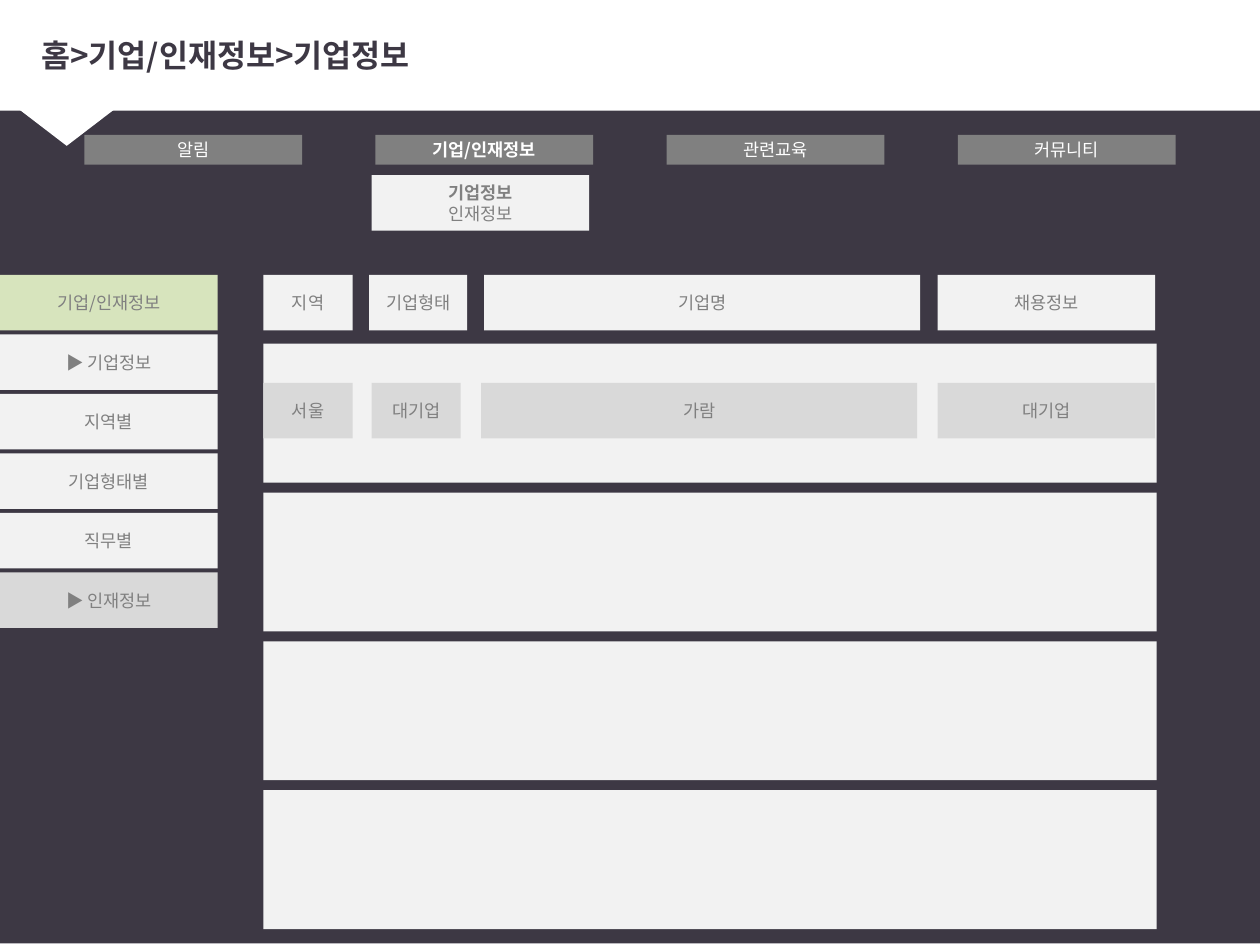
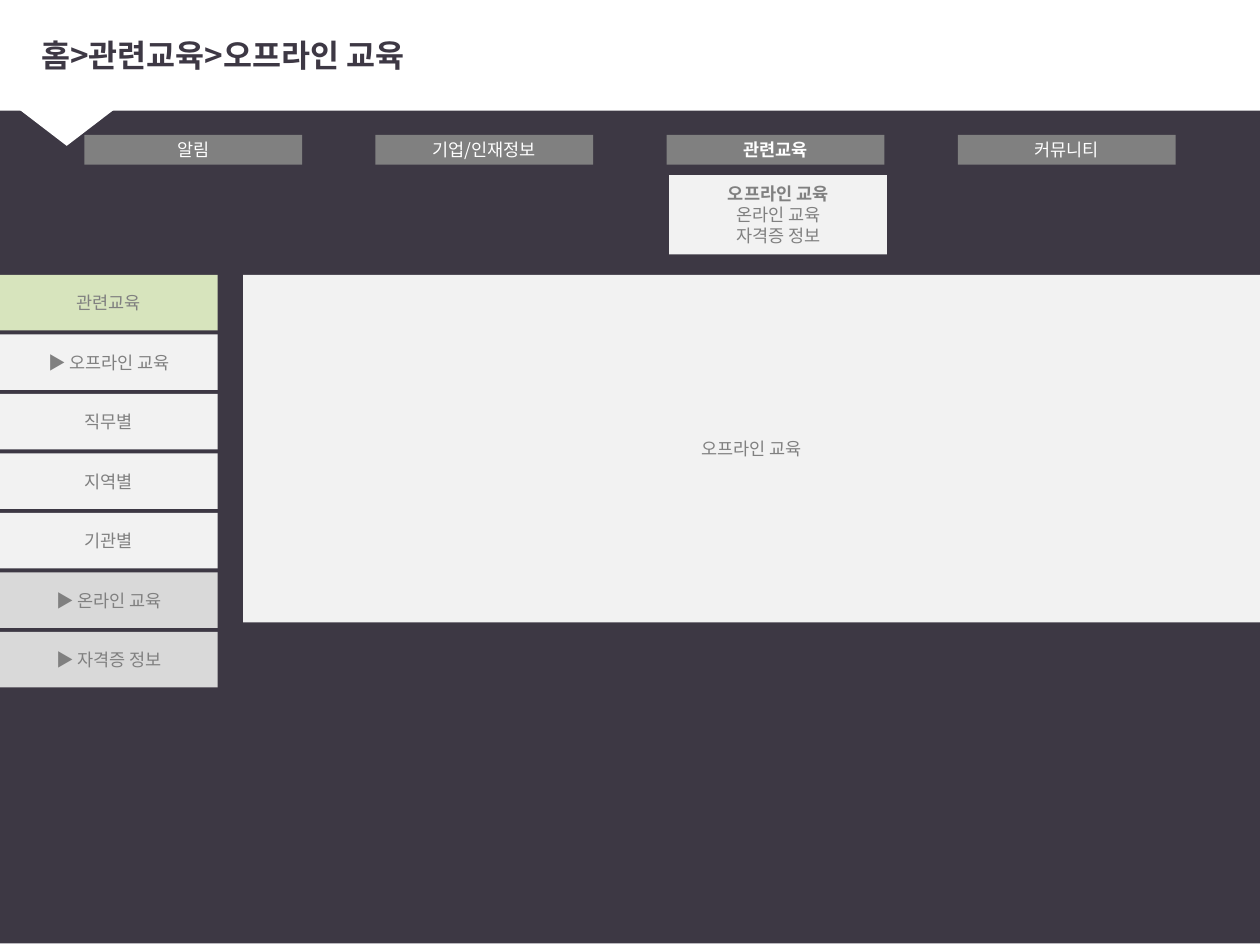
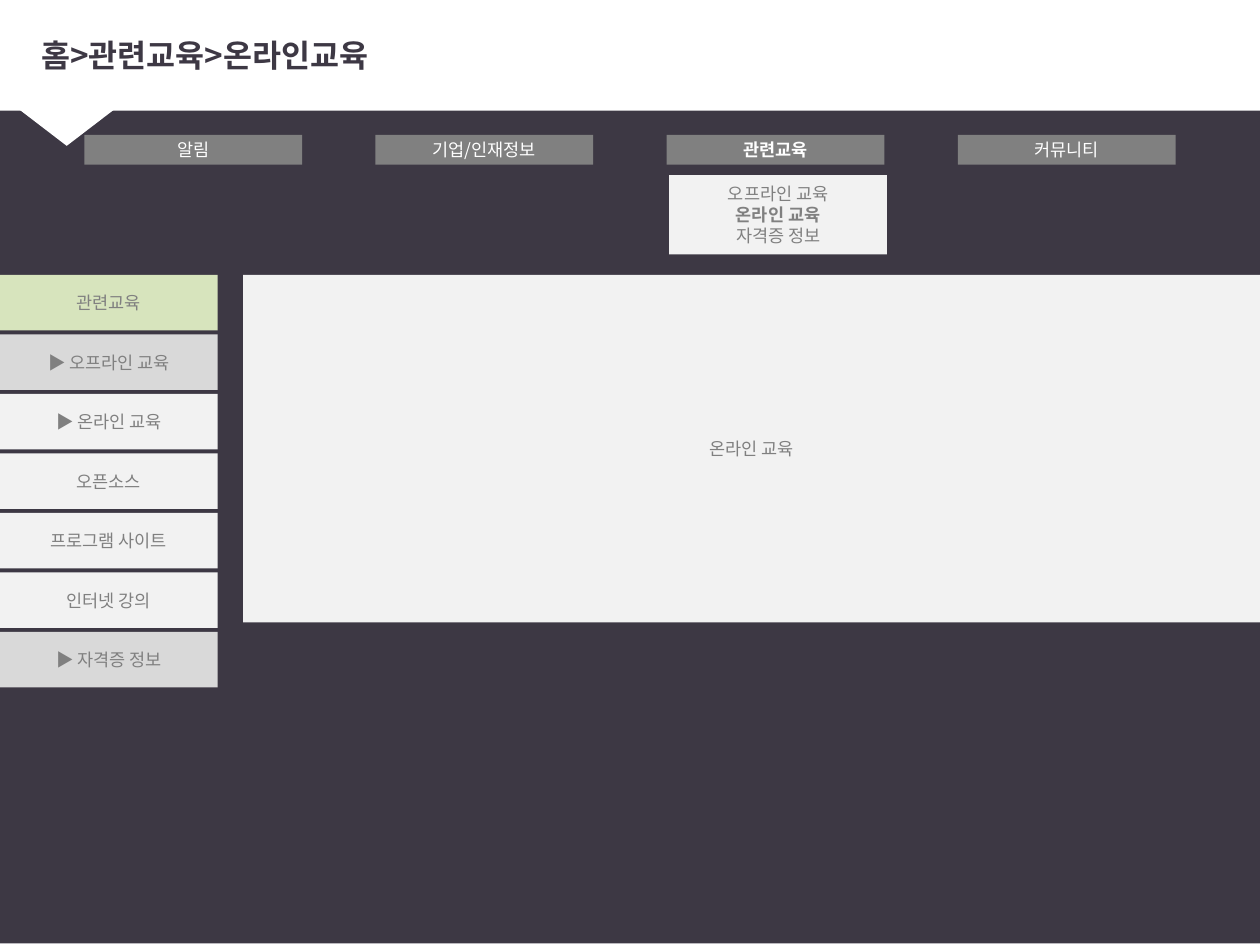
from collections import namedtuple
from pptx import Presentation
from pptx.dml.color import RGBColor
from pptx.enum.shapes import MSO_SHAPE
from pptx.enum.text import MSO_ANCHOR, MSO_AUTO_SIZE, PP_ALIGN
from pptx.oxml.ns import qn
from pptx.util import Cm, Pt

FONT = "Noto Sans CJK KR"
DARK, WHITE, GRAY = "3D3844", "FFFFFF", "808080"
LIGHT, MUTED, GREEN = "F2F2F2", "D9D9D9", "D7E4BD"

Box = namedtuple("Box", "left top width height")
TITLE = Box(0.58, 0.33, 24.54, 1.57)
NAV = Box(1.7, 2.72, 22, 0.6)
SIDE = Box(0, 5.54, 4.39, 1.12)
LISTING = Box(5.31, 5.54, 18.01, 13.2)
PANEL = Box(4.9, 5.54, 20.5, 7.01)

SECTIONS = ["알림", "기업/인재정보", "관련교육", "커뮤니티"]
COMPANY_MENU = ["기업정보", "인재정보"]
COURSE_MENU = ["오프라인 교육", "온라인 교육", "자격증 정보"]
HEADINGS = [("지역", 0, 1.8), ("기업형태", 2.13, 1.98),
            ("기업명", 4.45, 8.79), ("채용정보", 13.59, 4.39)]
COMPANY = [("서울", 0, 1.8), ("대기업", 2.18, 1.8),
           ("가람", 4.39, 8.79), ("대기업", 13.59, 4.39)]


def colour(value):
    return RGBColor.from_string(value)


def place(shape, box):
    shape.left, shape.top, shape.width, shape.height = map(Cm, box)


def write(para, text, size=10, fill=GRAY, bold=False, align=PP_ALIGN.CENTER):
    para.alignment = align
    span = para.add_run()
    span.text = text
    span.font.size = Pt(size)
    span.font.bold = bold
    span.font.color.rgb = colour(fill)
    span.font.name = FONT
    properties = span.font._element
    properties.append(properties.makeelement(qn("a:ea"), {"typeface": FONT}))


def add_block(page, box, fill, lines=(), active=None, text_fill=GRAY,
              kind=MSO_SHAPE.RECTANGLE):
    shape = page.shapes.add_shape(kind, *map(Cm, box))
    shape.shadow.inherit = False
    shape.fill.solid()
    shape.fill.fore_color.rgb = colour(fill)
    shape.line.fill.background()
    frame = shape.text_frame
    frame.word_wrap = True
    frame.vertical_anchor = MSO_ANCHOR.MIDDLE
    for index, line in enumerate(lines):
        para = frame.add_paragraph() if index else frame.paragraphs[0]
        write(para, line, fill=text_fill, bold=line == active)
    return shape


def dress_layout(layout, page):
    backdrop = add_block(page, Box(0, -0.03, 25.76, 19.05), DARK)
    band = add_block(page, Box(-0.08, -0.05, 25.83, 2.28), WHITE)
    pointer = add_block(page, Box(-0.51, 1.52, 3.71, 1.42), WHITE,
                        kind=MSO_SHAPE.ISOSCELES_TRIANGLE)
    pointer.rotation = 180
    for index, shape in enumerate([backdrop, band, pointer]):
        layout.shapes.element.insert(2 + index, shape.element)
    place(layout.placeholders[0], TITLE)


def add_title(page, trail):
    title = page.shapes.title
    place(title, TITLE)
    frame = title.text_frame
    frame.word_wrap = True
    frame.auto_size = MSO_AUTO_SIZE.NONE
    frame.vertical_anchor = MSO_ANCHOR.MIDDLE
    write(frame.paragraphs[0], ">".join(trail), size=18, fill=DARK,
          bold=True, align=PP_ALIGN.LEFT)


def add_navigation(page, box, section, menu, active, menu_left):
    width = 4.39
    pitch = (box.width - width) / (len(SECTIONS) - 1)
    for index, name in enumerate(SECTIONS):
        tab = Box(box.left + index * pitch, box.top, width, box.height)
        add_block(page, tab, GRAY, [name], active=section, text_fill=WHITE)
    drop = Box(menu_left, box.top + 0.81, width, 0.16 + 0.48 * len(menu))
    add_block(page, drop, LIGHT, menu, active)


def add_sidebar(page, box, heading, entries):
    rows = [(heading, GREEN)] + entries
    for index, (text, fill) in enumerate(rows):
        add_block(page, box._replace(top=box.top + 1.2 * index), fill, [text])


def add_cells(page, left, top, cells, fill):
    for text, offset, width in cells:
        add_block(page, Box(left + offset, top, width, 1.12), fill, [text])


def add_listing(page, box):
    first, pitch, height = box.top + 1.39, 3, 2.8
    add_cells(page, box.left, box.top, HEADINGS, LIGHT)
    for index in range(4):
        row = Box(box.left, first + index * pitch, box.width, height)
        add_block(page, row, LIGHT)
    add_cells(page, box.left, first + 0.79, COMPANY, MUTED)


def add_page(page, trail, menu, active, menu_left, entries):
    section = trail[1]
    add_title(page, trail)
    add_navigation(page, NAV, section, menu, active, menu_left)
    add_sidebar(page, SIDE, section, entries)


def add_course_page(page, trail, active, entries):
    add_page(page, trail, COURSE_MENU, active, 13.49, entries)
    add_block(page, PANEL, LIGHT, [active])


deck = Presentation()
deck.slide_width, deck.slide_height = Cm(25.4), Cm(19.05)
layout = deck.slide_layouts[5]
companies, offline, online = [deck.slides.add_slide(layout) for _ in range(3)]
dress_layout(layout, companies)

add_page(companies, ["홈", "기업/인재정보", "기업정보"], COMPANY_MENU, "기업정보", 7.49,
         [("▶ 기업정보", LIGHT), ("지역별", LIGHT), ("기업형태별", LIGHT),
          ("직무별", LIGHT), ("▶ 인재정보", MUTED)])
add_listing(companies, LISTING)

add_course_page(offline, ["홈", "관련교육", "오프라인 교육"], "오프라인 교육",
                [("▶ 오프라인 교육", LIGHT), ("직무별", LIGHT), ("지역별", LIGHT),
                 ("기관별", LIGHT), ("▶ 온라인 교육", MUTED), ("▶ 자격증 정보", MUTED)])

add_course_page(online, ["홈", "관련교육", "온라인교육"], "온라인 교육",
                [("▶ 오프라인 교육", MUTED), ("▶ 온라인 교육", LIGHT), ("오픈소스", LIGHT),
                 ("프로그램 사이트", LIGHT), ("인터넷 강의", LIGHT), ("▶ 자격증 정보", MUTED)])

deck.save("out.pptx")
